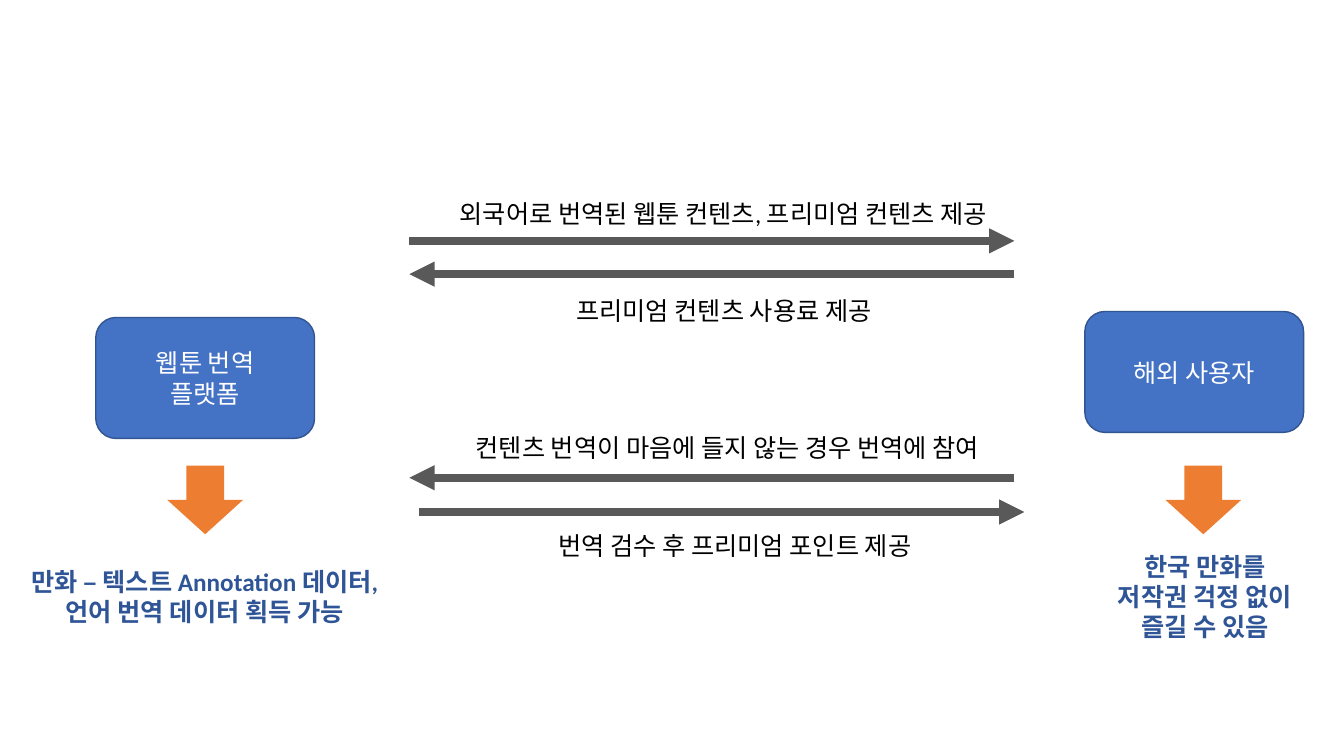
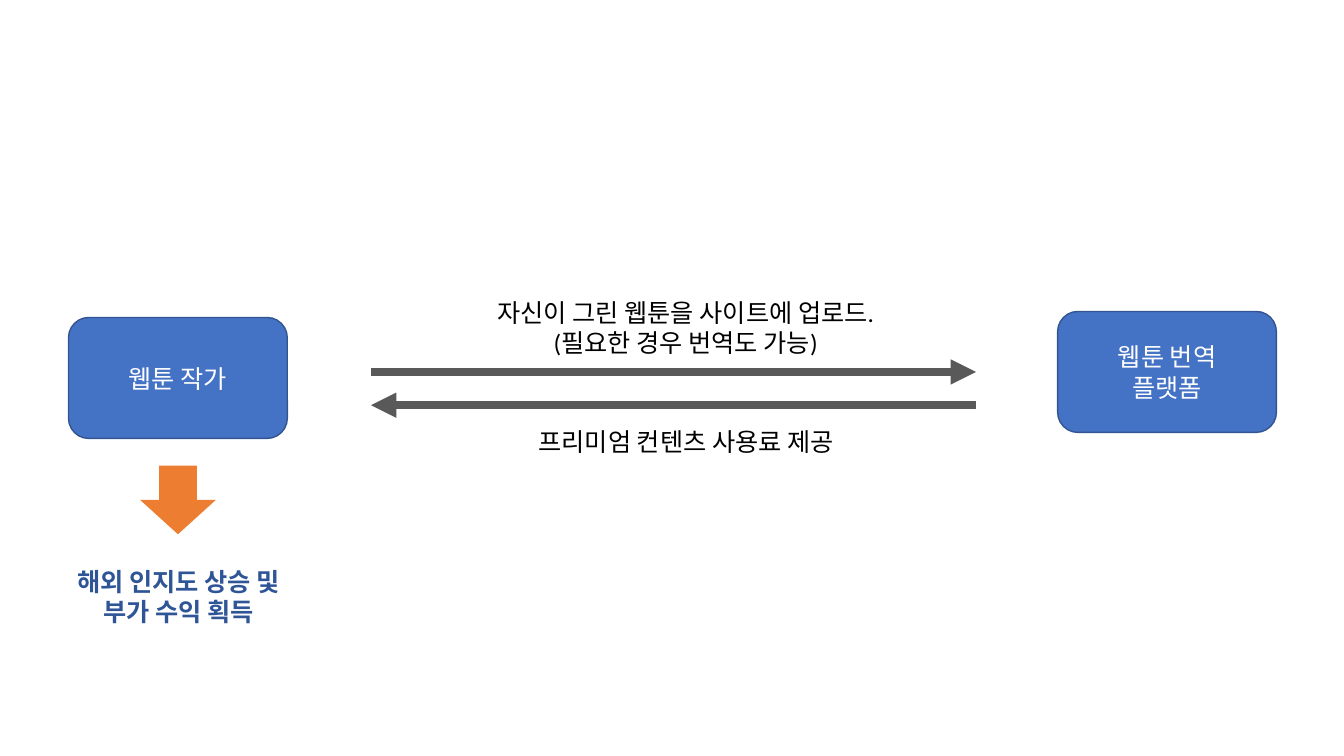
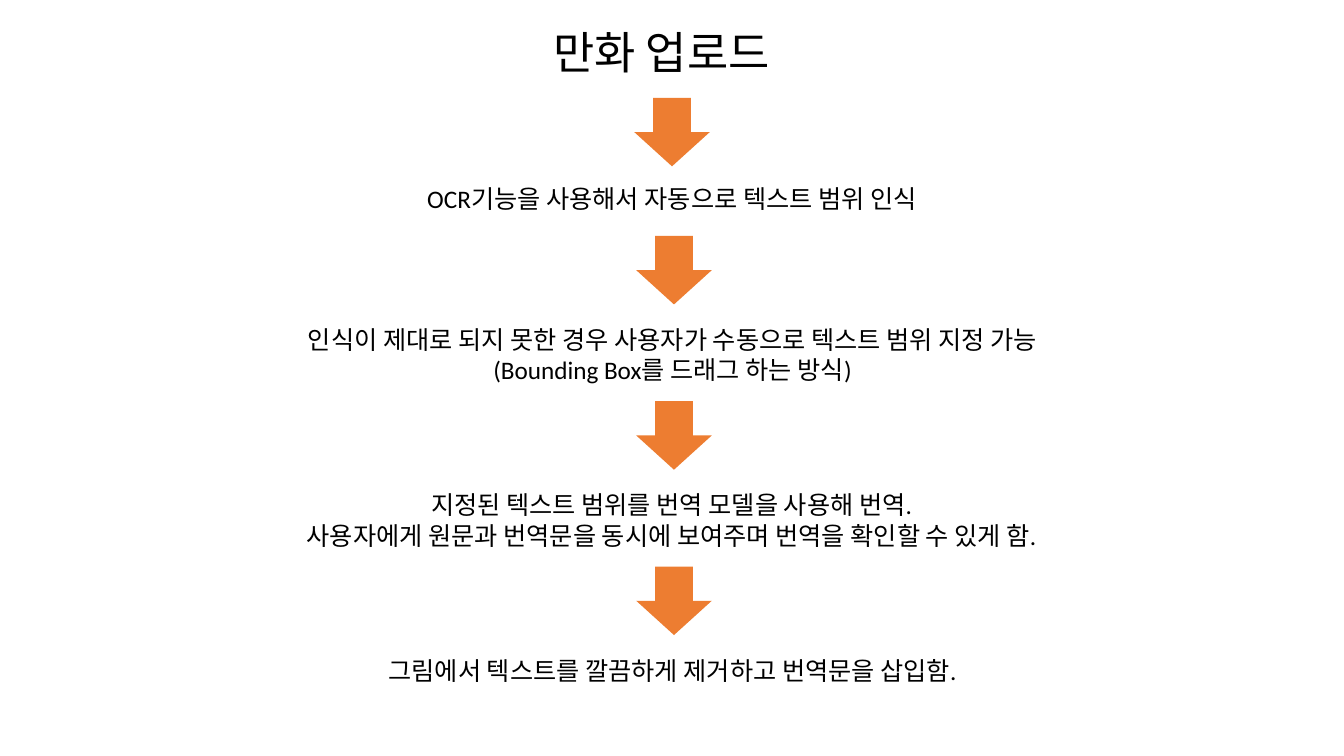
import pptx
import pptx.util
import pptx.dml.color
import pptx.enum.shapes
import pptx.enum.text
import pptx.oxml
import pptx.oxml.ns

Inches = pptx.util.Inches
Pt = pptx.util.Pt
SHAPE = pptx.enum.shapes.MSO_SHAPE
ALIGN = pptx.enum.text.PP_ALIGN
ANCHOR = pptx.enum.text.MSO_ANCHOR
FIT = pptx.enum.text.MSO_AUTO_SIZE

BLUE, EDGE, ORANGE, GRAY = "4472C4", "325491", "ED7D31", "595959"
WHITE, BLACK, NAVY = "FFFFFF", "000000", "2F5597"
FONT = {"name": "Calibri", "size": Pt(18), "bold": False}
LABEL = {"word_wrap": False, "auto_size": FIT.SHAPE_TO_FIT_TEXT}
BOX = {"word_wrap": True, "vertical_anchor": ANCHOR.MIDDLE}
SPAN = 6
PLATFORM = "웹툰 번역\n플랫폼"
FEE = "프리미엄 컨텐츠 사용료 제공"


def color(code):
    return pptx.dml.color.RGBColor.from_string(code)


def apply(target, values):
    for key, value in values.items():
        setattr(target, key, value)


def write(frame, text, layout, tint, align=ALIGN.CENTER, **extra):
    apply(frame, layout)
    for index, line in enumerate(text.split("\n")):
        para = frame.paragraphs[0] if index == 0 else frame.add_paragraph()
        para.alignment = align
        run = para.add_run()
        run.text = line
        apply(run.font, {**FONT, **extra})
        run.font.color.rgb = color(tint)


def label(slide, text, left, top, width, size=18, tint=BLACK, **style):
    height = 0.1 + 0.017 * size * len(text.split("\n"))
    area = slide.shapes.add_textbox(
        Inches(left), Inches(top), Inches(width), Inches(height))
    write(area.text_frame, text, LABEL, tint, size=Pt(size), **style)


def solid(slide, kind, left, top, width, height, fill):
    shape = slide.shapes.add_shape(
        kind, Inches(left), Inches(top), Inches(width), Inches(height))
    shape.shadow.inherit = False
    shape.fill.solid()
    shape.fill.fore_color.rgb = color(fill)
    return shape


def actor(slide, text, left, top):
    shape = solid(slide, SHAPE.ROUNDED_RECTANGLE, left, top, 2.17, 1.2, BLUE)
    shape.line.color.rgb = color(EDGE)
    shape.line.width = Pt(1)
    write(shape.text_frame, text, BOX, WHITE)


def down(slide, left, top):
    shape = solid(slide, SHAPE.DOWN_ARROW, left, top, 0.75, 0.68, ORANGE)
    shape.line.fill.background()


def flow(slide, left, top, back=False):
    start, end = (left + SPAN, left) if back else (left, left + SPAN)
    line = slide.shapes.add_connector(
        pptx.enum.shapes.MSO_CONNECTOR.STRAIGHT,
        Inches(start), Inches(top), Inches(end), Inches(top))
    line.line.color.rgb = color(GRAY)
    line.line.width = Pt(6)
    stroke = line.line._get_or_add_ln()
    space = pptx.oxml.ns.nsdecls("a")
    stroke.append(pptx.oxml.parse_xml(f'<a:tailEnd {space} type="triangle"/>'))
    stroke.getparent().append(pptx.oxml.parse_xml(f"<a:effectLst {space}/>"))


def gain(slide, text, left, top, width):
    label(slide, text, left, top, width, tint=NAVY, bold=True)


def users(slide):
    actor(slide, PLATFORM, 0.95, 3.15)
    actor(slide, "해외 사용자", 10.76, 3.09)
    flow(slide, 4.06, 2.39)
    label(slide, "외국어로 번역된 웹툰 컨텐츠, 프리미엄 컨텐츠 제공", 4.16, 1.92, 6.03)
    flow(slide, 4.06, 2.72, back=True)
    label(slide, FEE, 5.48, 2.88, 3.4)
    flow(slide, 4.16, 5.08)
    label(slide, "번역 검수 후 프리미엄 포인트 제공", 5.44, 5.21, 4.03,
          align=ALIGN.LEFT)
    flow(slide, 4.06, 4.74, back=True)
    label(slide, "컨텐츠 번역이 마음에 들지 않는 경우 번역에 참여", 4.62, 4.24, 5.66,
          align=ALIGN.LEFT)
    down(slide, 1.66, 4.62)
    gain(slide, "만화 – 텍스트 Annotation 데이터,\n언어 번역 데이터 획득 가능",
         0.13, 5.57, 3.8)
    down(slide, 11.56, 4.62)
    gain(slide, "한국 만화를\n저작권 걱정 없이\n즐길 수 있음", 10.91, 5.42, 2.08)


def authors(slide):
    actor(slide, "웹툰 작가", 0.68, 3.15)
    actor(slide, PLATFORM, 10.49, 3.09)
    flow(slide, 3.68, 3.69)
    label(slide, "자신이 그린 웹툰을 사이트에 업로드.\n(필요한 경우 번역도 가능)",
          4.66, 2.9, 4.28)
    flow(slide, 3.68, 4.02, back=True)
    label(slide, FEE, 5.07, 4.18, 3.47)
    down(slide, 1.39, 4.62)
    gain(slide, "해외 인지도 상승 및\n부가 수익 획득", 0.57, 5.57, 2.4)


def steps(slide):
    label(slide, "만화 업로드", 5.39, 0.2, 2.55, size=32, align=ALIGN.LEFT)
    down(slide, 6.29, 0.97)
    for index in range(3):
        down(slide, 6.31, 2.34 + 1.64 * index)
    for text, left, top, width in (
        ("OCR기능을 사용해서 자동으로 텍스트 범위 인식", 3.93, 1.77, 5.47),
        ("인식이 제대로 되지 못한 경우 사용자가 수동으로 텍스트 범위 지정 가능\n"
         "(Bounding Box를 드래그 하는 방식)", 2.62, 3.17, 8.1),
        ("지정된 텍스트 범위를 번역 모델을 사용해 번역.\n"
         "사용자에게 원문과 번역문을 동시에 보여주며 번역을 확인할 수 있게 함.",
         2.64, 4.81, 8.04),
        ("그림에서 텍스트를 깔끔하게 제거하고 번역문을 삽입함.", 3.49, 6.45, 6.36),
    ):
        label(slide, text, left, top, width)


def main():
    deck = pptx.Presentation()
    apply(deck, {"slide_width": Inches(13.33), "slide_height": Inches(7.5)})
    for build in (users, authors, steps):
        build(deck.slides.add_slide(deck.slide_layouts[6]))
    deck.save("out.pptx")


main()
